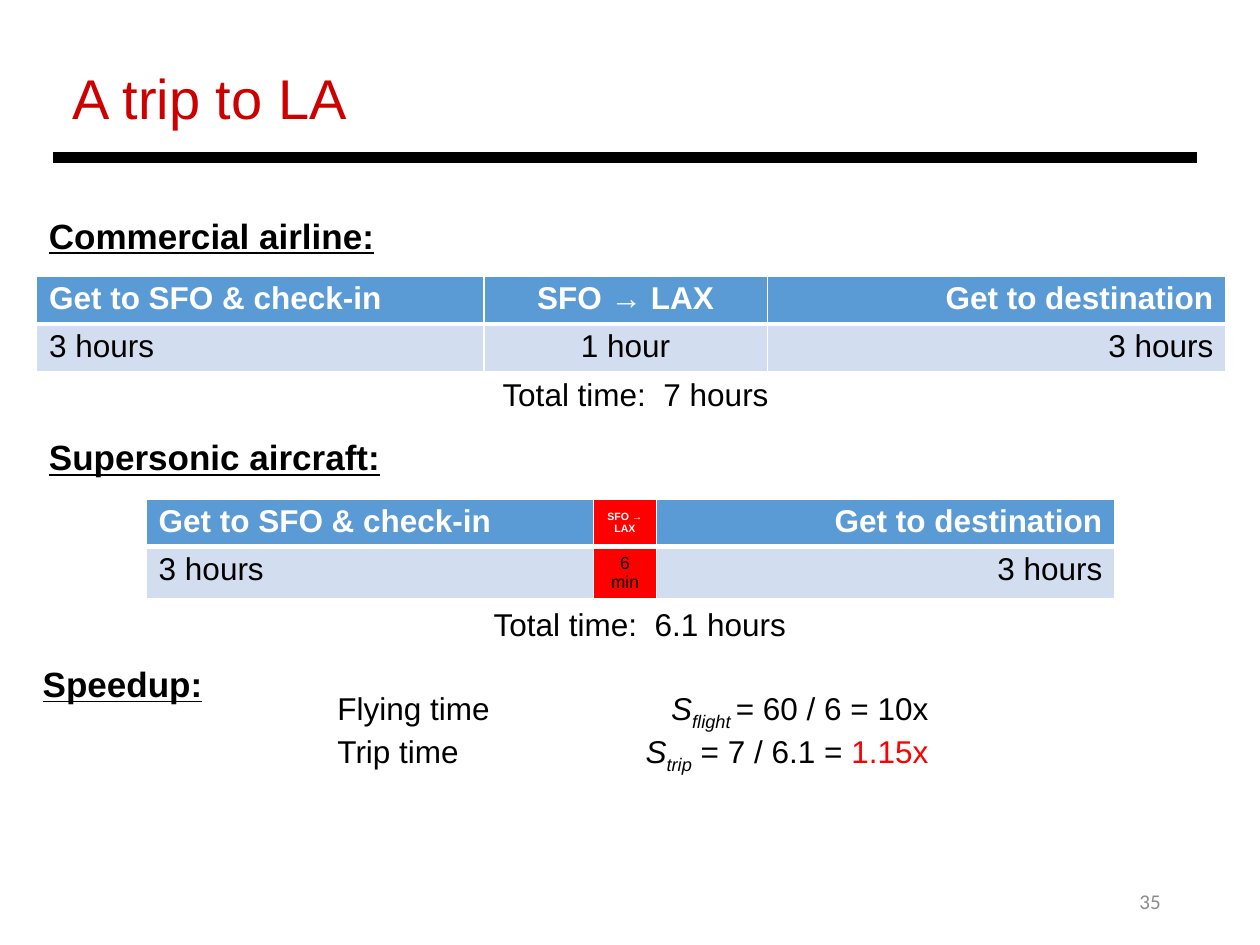
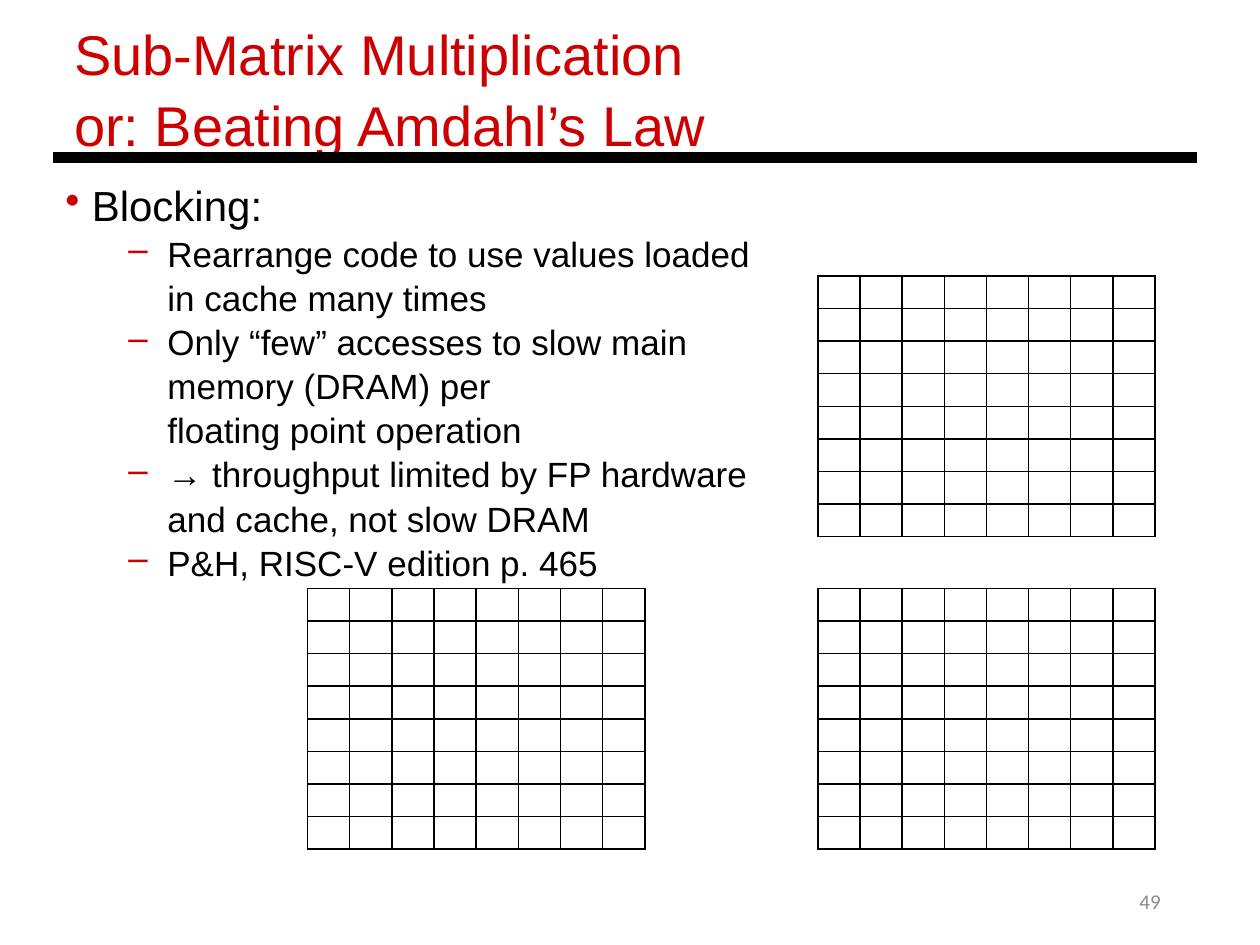
import pptx
import pptx.util
import pptx.dml.color
import pptx.enum.text
import pptx.enum.shapes
import pptx.oxml.ns
import lxml.etree

Inches = pptx.util.Inches
Pt = pptx.util.Pt
RGB = pptx.dml.color.RGBColor
ALIGN = pptx.enum.text.PP_ALIGN
ANCHOR = pptx.enum.text.MSO_ANCHOR
qn = pptx.oxml.ns.qn

TITLE_RED = RGB(0xCC, 0x00, 0x00)
RED = RGB(0xFF, 0x00, 0x00)
BLACK = RGB(0, 0, 0)
WHITE = RGB(0xFF, 0xFF, 0xFF)
GRAY = RGB(0x8C, 0x8C, 0x8C)
HEAD_BLUE = RGB(0x5B, 0x9B, 0xD5)
BODY_BLUE = RGB(0xD2, 0xDE, 0xEF)

TRIP = dict(title="A trip to LA", at=(0.48, 0.43, 7.7, 0.64), number="35")
BLOCKING = dict(title="Sub-Matrix Multiplication\vor: Beating Amdahl’s Law",
                at=(0.49, 0.08, 7.7, 1.18), number="49")

HEADINGS = [
    ("Commercial airline:", (0.29, 1.65, 2.8, 0.44)),
    ("Supersonic aircraft:", (0.29, 3.41, 2.85, 0.44)),
    ("Speedup:", (0.24, 5.21, 1.48, 0.44)),
]
TOTALS = [
    ("Total time:  7 hours", (3.89, 2.93, 2.33, 0.4)),
    ("Total time:  6.1 hours", (3.82, 4.75, 2.54, 0.4)),
]
LEGS = ["Get to SFO & check-in", "SFO → LAX", "Get to destination"]
LEG_ALIGN = [ALIGN.LEFT, ALIGN.CENTER, ALIGN.RIGHT]
ITINERARIES = [
    dict(at=(0.29, 2.19), flight="1 hour", flight_width=2.25,
         heights=(0.37, 0.38), fast=False),
    dict(at=(1.16, 3.96), flight="6 min", flight_width=0.5,
         heights=(0.37, 0.41), fast=True),
]
SPEEDUPS = [
    ("Flying time \t", "flight ", "= 60 / 6 = 10x", ""),
    ("Trip time \t", "trip", " = 7 / 6.1 = ", "1.15x"),
]

POINTS = [
    "Rearrange code to use values loaded in cache many times",
    "Only “few” accesses to slow main memory (DRAM) per \vfloating point operation",
    "→ throughput limited by FP hardware and cache, not slow DRAM",
    "P&H, RISC-V edition p. 465",
]
MATRICES = [(2.44, 4.67), (6.49, 4.67), (6.49, 2.19)]
MATRIX_SIZE = 8
MATRIX_WIDTH, MATRIX_HEIGHT = 2.68, 2.07


def style(p, size, color=BLACK, bold=False, font="Arial", align=None):
    p.font.size = Pt(size)
    p.font.name = font
    p.font.bold = bold
    p.font.color.rgb = color
    p.alignment = align


def add_text(s, at, text="", size=18, color=BLACK, wrap=True, **kw):
    tf = s.shapes.add_textbox(*map(Inches, at)).text_frame
    tf.word_wrap = wrap
    p = tf.paragraphs[0]
    p.text = text
    style(p, size, color, **kw)
    return tf


def add_base(prs, title, at, number):
    s = prs.slides.add_slide(prs.slide_layouts[6])
    tf = add_text(s, (7.06, 6.95, 2.25, 0.4), number, 12, GRAY,
                  font="Calibri", align=ALIGN.RIGHT)
    tf.vertical_anchor = ANCHOR.MIDDLE
    add_text(s, at, title, 32, TITLE_RED).paragraphs[0].line_spacing = 1.05
    rule = s.shapes.add_connector(pptx.enum.shapes.MSO_CONNECTOR.STRAIGHT,
                                  Inches(0.42), Inches(1.25), Inches(9.5), Inches(1.25))
    rule.line.color.rgb = BLACK
    rule.line.width = Pt(6)
    lxml.etree.SubElement(rule._element.spPr, qn("a:effectLst"))
    return s


def set_borders(cell, color, **widths):
    tcPr = cell._tc.get_or_add_tcPr()
    for i, side in enumerate("LRTB"):
        ln = lxml.etree.Element(qn("a:ln" + side), w=str(Pt(widths.get(side, 1))))
        fill = lxml.etree.SubElement(ln, qn("a:solidFill"))
        lxml.etree.SubElement(fill, qn("a:srgbClr"), val=str(color))
        tcPr.insert(i, ln)


def add_table(s, at, widths, heights):
    table = s.shapes.add_table(len(heights), len(widths), *map(
        Inches, (*at, sum(widths), sum(heights)))).table
    for column, width in zip(table.columns, widths):
        column.width = Inches(width)
    for row, height in zip(table.rows, heights):
        row.height = Inches(height)
    return table


def add_itinerary(s, at, flight, flight_width, heights, fast):
    table = add_table(s, at, (3.55, flight_width, 3.64), heights)
    for r, texts in enumerate([LEGS, ["3 hours", flight, "3 hours"]]):
        for c, text in enumerate(texts):
            cell = table.cell(r, c)
            short = fast and c == 1
            cell.margin_top = cell.margin_bottom = Inches(0.04)
            cell.vertical_anchor = ANCHOR.MIDDLE if short else ANCHOR.TOP
            p = cell.text_frame.paragraphs[0]
            p.text = text
            style(p, (6, 10)[r] if short else 18, (WHITE, BLACK)[r],
                  bold=r == 0, align=LEG_ALIGN[c])
            cell.fill.solid()
            cell.fill.fore_color.rgb = RED if short else (HEAD_BLUE, BODY_BLUE)[r]
            set_borders(cell, WHITE, **({"B": 3} if r == 0 else {"T": 3}))


def add_speedups(s):
    tf = add_text(s, (2.58, 5.42, 6.95, 0.71))
    for i, (label, kind, formula, result) in enumerate(SPEEDUPS):
        p = tf.add_paragraph() if i else tf.paragraphs[0]
        style(p, 18)
        tabs = lxml.etree.Element(qn("a:tabLst"))
        for pos, algn in ((4.69, "r"), (5.74, "l")):
            lxml.etree.SubElement(tabs, qn("a:tab"), pos=str(Inches(pos)), algn=algn)
        p._p.pPr.find(qn("a:defRPr")).addprevious(tabs)
        p.add_run().text = label
        for text, baseline in (("S", "0"), (kind, "-25000")):
            r = p.add_run()
            r.text = text
            r.font.italic = True
            r._r.get_or_add_rPr().set("baseline", baseline)
        p.add_run().text = formula
        if result:
            r = p.add_run()
            r.text = result
            r.font.color.rgb = RED


def set_bullet(p, char, margin=0, indent=0):
    pPr = p._p.get_or_add_pPr()
    pPr.set("marL", str(Inches(margin)))
    pPr.set("indent", str(Inches(indent)))
    defaults = pPr.find(qn("a:defRPr"))
    color = lxml.etree.Element(qn("a:buClr"))
    lxml.etree.SubElement(color, qn("a:srgbClr"), val=str(TITLE_RED))
    defaults.addprevious(color)
    defaults.addprevious(lxml.etree.Element(qn("a:buChar"), char=char))


def add_points(s):
    tf = add_text(s, (0.42, 1.36, 5.75, 3.2), " Blocking:", 24)
    set_bullet(tf.paragraphs[0], "•")
    for point in POINTS:
        p = tf.add_paragraph()
        p.text = point
        p.level = 1
        style(p, 20)
        set_bullet(p, "–", 0.81, -0.31)
    for p in tf.paragraphs:
        p.line_spacing = 1.05


def add_matrix(s, at):
    table = add_table(s, at, [MATRIX_WIDTH / MATRIX_SIZE] * MATRIX_SIZE,
                      [MATRIX_HEIGHT / MATRIX_SIZE] * MATRIX_SIZE)
    table.first_row = table.horz_banding = False
    for cell in table.iter_cells():
        cell.fill.background()
        set_borders(cell, BLACK)
        p = cell.text_frame.paragraphs[0]
        lxml.etree.SubElement(p._p, qn("a:endParaRPr"), sz="800")


def main():
    prs = pptx.Presentation()
    prs.slide_width, prs.slide_height = Inches(10), Inches(7.5)

    s = add_base(prs, **TRIP)
    for text, at in HEADINGS:
        tf = add_text(s, at, text, 20, bold=True, wrap=False)
        tf.paragraphs[0].font.underline = True
    for text, at in TOTALS:
        add_text(s, at, text, wrap=False)
    for itinerary in ITINERARIES:
        add_itinerary(s, **itinerary)
    add_speedups(s)

    s = add_base(prs, **BLOCKING)
    for at in MATRICES:
        add_matrix(s, at)
    add_points(s)

    prs.save("out.pptx")


if __name__ == "__main__":
    main()
